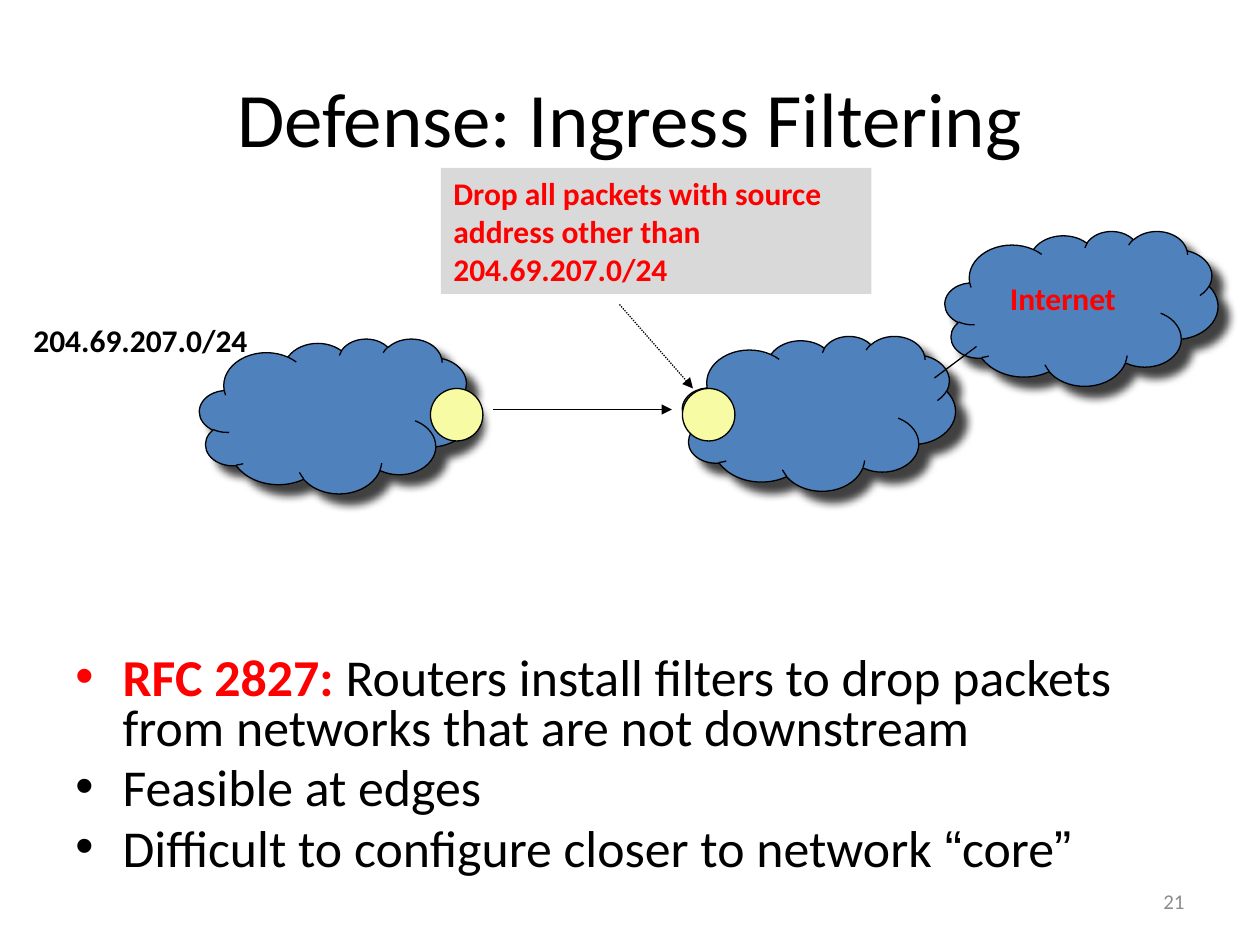
from dataclasses import dataclass

from lxml import etree
from pptx import Presentation
from pptx.dml.color import RGBColor
from pptx.enum import dml, shapes, text
from pptx.oxml import ns
from pptx.util import Pt


@dataclass(frozen=True)
class Theme:
    """Colours, fonts and type sizes of the slide."""
    ink: str = "000000"
    alert: str = "FF0000"
    muted: str = "8C8C8C"
    cloud: str = "4F81BD"
    router: str = "F7FBA3"
    note: str = "D9D9D9"
    font: str = "Calibri"
    quote_font: str = "Arial"
    title: float = 44
    body: float = 29.6
    label: float = 18
    number: float = 12
    outline: float = 0.75


THEME = Theme()


def add_xml(parent, tag, **attributes):
    """Append a DrawingML element and return it."""
    return etree.SubElement(parent, ns.qn(f"a:{tag}"), attributes)


def style_run(run, size, color, bold=False, font=THEME.font):
    """Set the type of one run."""
    run.font.name = font
    run.font.size = Pt(size)
    run.font.bold = bold
    run.font.color.rgb = RGBColor.from_string(color)


def fill_text(holder, wording, size, color, bold=False,
              align=text.PP_ALIGN.LEFT, anchor=text.MSO_ANCHOR.TOP):
    """Write one styled paragraph into a shape."""
    frame = holder.text_frame
    frame.word_wrap = True
    frame.vertical_anchor = anchor
    frame.text = wording
    paragraph = frame.paragraphs[0]
    paragraph.alignment = align
    style_run(paragraph.runs[0], size, color, bold)


def add_label(slide, box, wording, size, color, **options):
    """Add a text box with one paragraph."""
    fill_text(slide.shapes.add_textbox(*map(Pt, box)), wording, size, color, **options)


def add_block(slide, kind, box, fill, outlined=True):
    """Add a filled preset shape without a shadow."""
    block = slide.shapes.add_shape(kind, *map(Pt, box))
    block.shadow.inherit = False
    block.fill.solid()
    block.fill.fore_color.rgb = RGBColor.from_string(fill)
    if outlined:
        block.line.color.rgb = RGBColor.from_string(THEME.ink)
        block.line.width = Pt(THEME.outline)
    else:
        block.line.fill.background()
    return block


def add_cloud(slide, left, top):
    """Add a network cloud with a soft shadow to the lower right."""
    cloud = add_block(slide, shapes.MSO_SHAPE.CLOUD, (left, top, 156, 88.5), THEME.cloud)
    effects = cloud._element.spPr.find(ns.qn("a:effectLst"))
    shadow = add_xml(effects, "outerShdw", blurRad=str(Pt(5)), dist=str(Pt(8.5)),
                     dir="2700000", algn="ctr", rotWithShape="0")
    add_xml(add_xml(shadow, "srgbClr", val=THEME.ink), "alpha", val="75000")


def add_router(slide, left):
    """Add an edge router on the common router row."""
    add_block(slide, shapes.MSO_SHAPE.OVAL, (left, 222, 30, 30), THEME.router)


def add_link(slide, start, end, arrow=False, dotted=False):
    """Add a thin straight line between two points."""
    link = slide.shapes.add_connector(shapes.MSO_CONNECTOR.STRAIGHT,
                                      *map(Pt, (*start, *end)))
    link.line.color.rgb = RGBColor.from_string(THEME.ink)
    link.line.width = Pt(THEME.outline)
    if dotted:
        link.line.dash_style = dml.MSO_LINE.ROUND_DOT
    if arrow:
        add_xml(link.line._get_or_add_ln(), "tailEnd", type="triangle")
    add_xml(link._element.spPr, "effectLst")


def add_bullets(slide, box, points):
    """Add a bullet list whose points are lists of (wording, style) runs."""
    frame = slide.shapes.add_textbox(*map(Pt, box)).text_frame
    frame.word_wrap = True
    for index, point in enumerate(points):
        paragraph = frame.paragraphs[0] if index == 0 else frame.add_paragraph()
        paragraph.line_spacing = 0.8
        if index:
            paragraph.space_before = Pt(6)
        properties = paragraph._p.get_or_add_pPr()
        properties.set("marL", str(Pt(27)))
        properties.set("indent", str(Pt(-27)))
        add_xml(properties, "buFont", typeface="Arial")
        add_xml(properties, "buChar", char="•")
        for wording, style in point:
            run = paragraph.add_run()
            run.text = wording
            style_run(run, THEME.body, **{"color": THEME.ink, **style})


def main():
    """Build the ingress filtering slide."""
    deck = Presentation()
    deck.slide_width, deck.slide_height = Pt(720), Pt(540)
    slide = deck.slides.add_slide(deck.slide_layouts[6])
    middle = text.MSO_ANCHOR.MIDDLE

    add_label(slide, (516, 500.5, 168, 28.75), "21", THEME.number, THEME.muted,
              align=text.PP_ALIGN.RIGHT, anchor=middle)
    add_label(slide, (36, 21.6, 648, 90), "Defense: Ingress Filtering", THEME.title,
              THEME.ink, align=text.PP_ALIGN.CENTER, anchor=middle)
    quote = {"font": THEME.quote_font}
    add_bullets(slide, (36, 372, 648, 150), [
        [("RFC 2827:", {"color": THEME.alert, "bold": True}),
         (" Routers install filters to drop packets from networks that are not downstream", {})],
        [("Feasible at edges", {})],
        [("Difficult to configure closer to network ", {}),
         ("“", quote), ("core", {}), ("”", quote)],
    ])

    add_cloud(slide, 114, 193.5)
    add_label(slide, (12, 180, 150, 29), "204.69.207.0/24", THEME.label, THEME.ink, bold=True)
    add_router(slide, 246)
    add_cloud(slide, 390, 192)
    add_router(slide, 390)
    add_link(slide, (282, 234), (384, 234), arrow=True)
    add_cloud(slide, 540, 132)
    add_label(slide, (570, 156, 120, 29), "Internet", THEME.label, THEME.alert, bold=True)
    add_link(slide, (534, 216), (558, 198))
    add_link(slide, (354, 174), (396, 222), arrow=True, dotted=True)

    rule = add_block(slide, shapes.MSO_SHAPE.RECTANGLE, (252, 96, 246, 72),
                     THEME.note, outlined=False)
    fill_text(rule, "Drop all packets with source address other than 204.69.207.0/24",
              THEME.label, THEME.alert, bold=True)

    deck.save("out.pptx")


if __name__ == "__main__":
    main()
